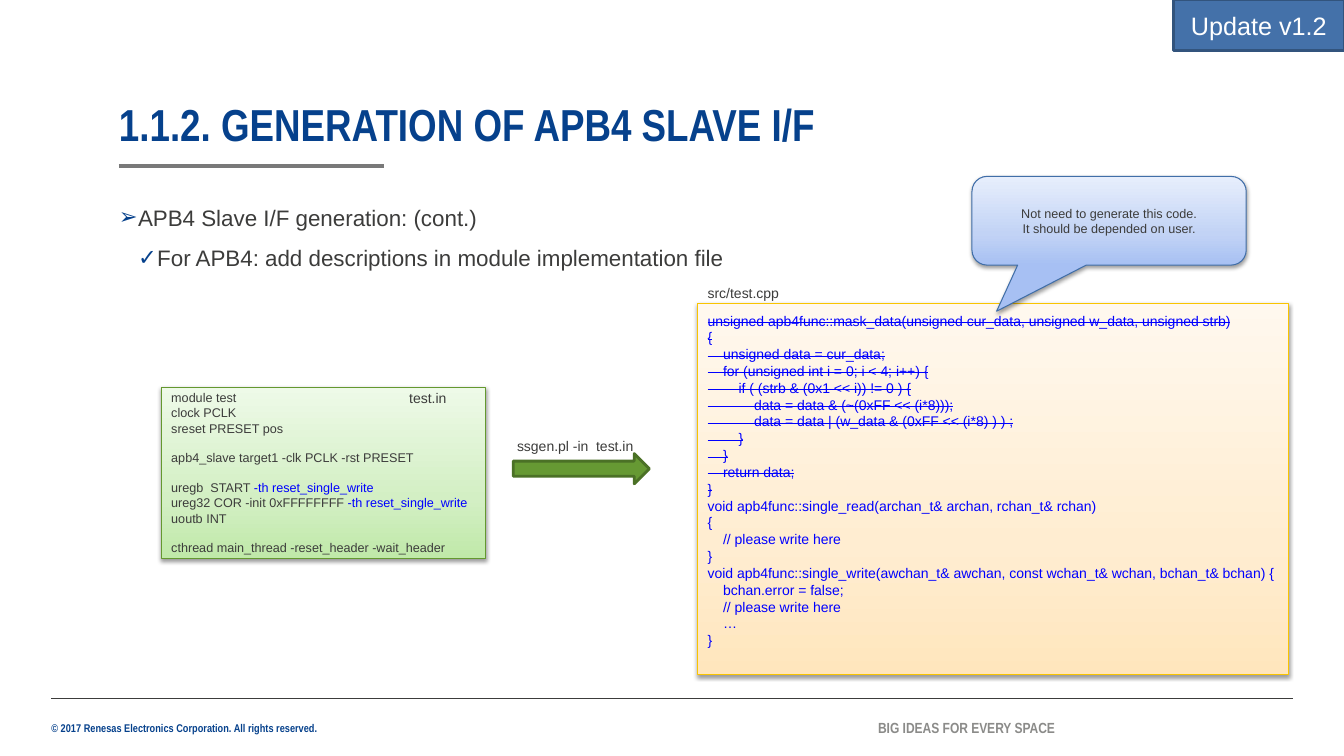
from lxml import etree
from pptx import Presentation
from pptx.dml.color import RGBColor
from pptx.enum.shapes import MSO_CONNECTOR, MSO_SHAPE
from pptx.enum.text import MSO_ANCHOR, MSO_AUTO_SIZE, PP_ALIGN
from pptx.oxml import parse_xml
from pptx.oxml.ns import qn
from pptx.util import Pt

PX = 9144
RECT, ARROW = MSO_SHAPE.RECTANGLE, MSO_SHAPE.RIGHT_ARROW
BUBBLE = MSO_SHAPE.ROUNDED_RECTANGULAR_CALLOUT
STRAIGHT = MSO_CONNECTOR.STRAIGHT
TOP, MIDDLE, BOTTOM = MSO_ANCHOR.TOP, MSO_ANCHOR.MIDDLE, MSO_ANCHOR.BOTTOM
LEFT, CENTER = PP_ALIGN.LEFT, PP_ALIGN.CENTER
GROW, FIXED = MSO_AUTO_SIZE.SHAPE_TO_FIT_TEXT, MSO_AUTO_SIZE.NONE
SIDES = ("left", "top", "right", "bottom")
NS = 'xmlns:a="http://schemas.openxmlformats.org/drawingml/2006/main"'

HEX = {
    "navy": "06418C", "ink": "3C3C3B", "rule": "797979", "grey": "8B8B89",
    "code": "0000FF", "white": "FFFFFF", "black": "000000",
    "gold": "F9C400", "leaf": "64982F", "steel": "406EA8",
    "arrow": "669933", "moss": "4B7126", "badge": "4471A9", "edge": "32547D",
}
FADES = {
    "gold": ("FFE6BD", "FFEDD1", "FFF8EE"),
    "leaf": ("C0E9A9", "D3EFC4", "EEFAE8"),
    "steel": ("A7C0F3", "C2D3F5", "E7EEFC"),
}

OLD_CODE = """unsigned apb4func::mask_data(unsigned cur_data, unsigned w_data, unsigned strb)
{
    unsigned data = cur_data;
    for (unsigned int i = 0; i < 4; i++) {
        if ( (strb & (0x1 << i)) != 0 ) {
            data = data & (~(0xFF << (i*8)));
            data = data | (w_data & (0xFF << (i*8) ) ) ;
        }
    }
    return data;
}"""
NEW_CODE = """void apb4func::single_read(archan_t& archan, rchan_t& rchan)
{
    // please write here
}
void apb4func::single_write(awchan_t& awchan, const wchan_t& wchan, bchan_t& bchan) {
    bchan.error = false;
    // please write here
    …
}"""
BLOCKS = (
    ("module test", "clock PCLK", "sreset PRESET pos"),
    ("apb4_slave target1 -clk PCLK -rst PRESET",),
    ("uregb  START |-th reset_single_write",
     "ureg32 COR -init 0xFFFFFFFF| -th reset_single_write",
     "uoutb INT"),
    ("cthread main_thread -reset_header -wait_header",),
)


def rgb(name):
    """Return a named colour."""
    return RGBColor.from_string(HEX[name])


def px(*vals):
    """Turn px lengths into EMU."""
    return [val * PX for val in vals]


def setup(frame, anchor=TOP, pad=(10, 5, 10, 5), wrap=True, fit=FIXED):
    """Set the layout of a text frame."""
    form = {"word_wrap": wrap, "auto_size": fit, "vertical_anchor": anchor}
    form.update({f"margin_{side}": val for side, val in zip(SIDES, px(*pad))})
    for key, val in form.items():
        setattr(frame, key, val)


def add_para(frame, first, **form):
    """Start a paragraph with the given format."""
    para = frame.paragraphs[0] if first else frame.add_paragraph()
    for key, val in form.items():
        setattr(para, key, val)
    return para


def add_run(para, text, size, color="ink", face="Arial", bold=False, strike=False):
    """Add one styled run."""
    run = para.add_run()
    run.text = text
    form = {"size": Pt(size), "name": face, "bold": bold}
    for key, val in form.items():
        setattr(run.font, key, val)
    run.font.color.rgb = rgb(color)
    if strike:
        run.font._element.set("strike", "sngStrike")


def label(slide, box, text, size, style=None, spacing=None, **form):
    """Place a one-line text box."""
    frame = slide.shapes.add_textbox(*px(*box)).text_frame
    setup(frame, **form)
    para = add_para(frame, True, line_spacing=spacing)
    add_run(para, text, size, **(style or {}))


def rule(slide, x, y, width, color, weight):
    """Draw a horizontal rule."""
    line = slide.shapes.add_connector(STRAIGHT, *px(x, y, x + width, y))
    line.line.color.rgb = rgb(color)
    line.line.width = Pt(weight)
    etree.SubElement(line._element.spPr, qn("a:effectLst"))


def panel(slide, kind, box, fill, edge, weight):
    """Place a flat preset shape."""
    shape = slide.shapes.add_shape(kind, *px(*box))
    shape.shadow.inherit = False
    shape.fill.solid()
    shape.fill.fore_color.rgb = rgb(fill)
    shape.line.color.rgb = rgb(edge)
    shape.line.width = Pt(weight)
    return shape


def card(slide, kind, box, tone):
    """Place a shape with a fade and a soft shadow."""
    shape = panel(slide, kind, box, tone, tone, 0.75)
    props = shape._element.spPr
    stops = "".join(
        f'<a:gs pos="{pos}"><a:srgbClr val="{val}"/></a:gs>'
        for pos, val in zip((0, 35000, 100000), FADES[tone]))
    fade = parse_xml(f'<a:gradFill {NS} rotWithShape="1"><a:gsLst>{stops}</a:gsLst>'
                     '<a:lin ang="16200000" scaled="0"/></a:gradFill>')
    props.replace(props.find(qn("a:solidFill")), fade)
    props.find(qn("a:effectLst")).append(parse_xml(
        f'<a:outerShdw {NS} blurRad="{Pt(3.1)}" dist="{Pt(1.6)}" dir="5400000" '
        f'rotWithShape="0"><a:srgbClr val="{HEX["black"]}"><a:alpha val="38000"/>'
        '</a:srgbClr></a:outerShdw>'))
    return shape


def footer(slide, x, y, width):
    """Place the rule and the two footer lines."""
    bold = {"face": "Arial Narrow", "bold": True}
    none = (0, 0, 0, 0)
    rule(slide, x, y, width, "ink", 0.5)
    label(slide, (x, y + 23, 268, 13),
          "© 2017 Renesas Electronics Corporation. All rights reserved.", 8,
          {"color": "navy", **bold}, pad=none, wrap=False, fit=GROW)
    label(slide, (x + 820, y + 20, 180, 18), "BIG IDEAS FOR EVERY SPACE", 10.5,
          {"color": "grey", **bold}, pad=none, anchor=MIDDLE, fit=GROW)


def heading(slide, x, y, width):
    """Place the title and its rule."""
    style = {"color": "navy", "face": "Arial Narrow", "bold": True}
    label(slide, (x, y, width, 48), "1.1.2. GENERATION OF APB4 SLAVE I/F", 32,
          style, spacing=0.9, anchor=BOTTOM, pad=(0, 0, 0, 0))
    rule(slide, x, y + 63, 263, "rule", 3)


def bullets(slide, box):
    """Place the two-level list."""
    frame = slide.shapes.add_textbox(*px(*box)).text_frame
    setup(frame, pad=(0, 0, 0, 0), fit=GROW)
    items = (("➢", "APB4 Slave I/F generation: (cont.)"),
             ("✓", "For APB4: add descriptions in module implementation file"))
    for level, (mark, text) in enumerate(items):
        para = add_para(frame, level == 0, level=level)
        props = para._p.get_or_add_pPr()
        props.set("marL", str(19 * (level + 1) * PX))
        props.set("indent", str(-19 * PX))
        for part in (f'<a:buClr {NS}><a:srgbClr val="{HEX["navy"]}"/></a:buClr>',
                     f'<a:buFont {NS} typeface="Arial"/>',
                     f'<a:buChar {NS} char="{mark}"/>'):
            props.append(parse_xml(part))
        para.line_spacing, para.space_after = 1.2, Pt(6)
        add_run(para, text, 16)


def source(slide, x, y, width, height):
    """Place the C++ listing under its file name."""
    label(slide, (x, y - 24, 149, 27), "src/test.cpp", 10, fit=GROW)
    frame = card(slide, RECT, (x, y, width, height), "gold").text_frame
    setup(frame, anchor=MIDDLE, pad=(10, 5, 10, 22))
    old, new = OLD_CODE.split("\n"), NEW_CODE.split("\n")
    for row, text in enumerate(old + new):
        para = add_para(frame, row == 0, alignment=LEFT)
        add_run(para, text, 10, "code", strike=row < len(old))


def config(slide, x, y, width, height):
    """Place the generator input with its file name."""
    frame = card(slide, RECT, (x, y, width, height), "leaf").text_frame
    setup(frame, anchor=MIDDLE)
    for num, block in enumerate(BLOCKS):
        for row, text in enumerate(block):
            para = add_para(frame, num + row == 0, alignment=LEFT)
            if num and not row:
                para.space_before = Pt(10.5)
            for part, color in zip(text.split("|"), ("ink", "code")):
                add_run(para, part, 9, color)
    label(slide, (x + 236, y - 2, 135, 27), "test.in", 10, fit=GROW)


def command(slide, x, y, width, height):
    """Place the arrow and its command."""
    panel(slide, ARROW, (x, y, width, height), "arrow", "moss", 2)
    label(slide, (x - 6, y - 21, 140, 27), "ssgen.pl -in  test.in", 10, fit=GROW)


def centered(shape, lines, size, color):
    """Fill a shape with centred lines."""
    setup(shape.text_frame, anchor=MIDDLE)
    for row, text in enumerate(lines):
        para = add_para(shape.text_frame, row == 0, alignment=CENTER)
        add_run(para, text, size, color)


def remark(slide, box):
    """Place the speech bubble."""
    shape = card(slide, BUBBLE, box, "steel")
    for num, val in enumerate((-0.41, 1.02, 0.17)):
        shape.adjustments[num] = val
    centered(shape, ("Not need to generate this code.",
                     "It should be depended on user."), 9, "ink")


def main():
    """Build the slide and save it."""
    deck = Presentation()
    deck.slide_width, deck.slide_height = px(1333, 750)
    slide = deck.slides.add_slide(deck.slide_layouts[6])
    footer(slide, 51, 693, 1231)
    heading(slide, 118, 102, 1180)
    bullets(slide, (118, 197, 1180, 73))
    source(slide, 692, 301, 586, 368)
    config(slide, 160, 384, 322, 170)
    command(slide, 509, 450, 135, 30)
    badge = panel(slide, RECT, (1164, 0, 169, 50), "badge", "edge", 2)
    centered(badge, ("Update v1.2",), 18, "white")
    remark(slide, (964, 175, 272, 88))
    deck.save("out.pptx")


if __name__ == "__main__":
    main()
